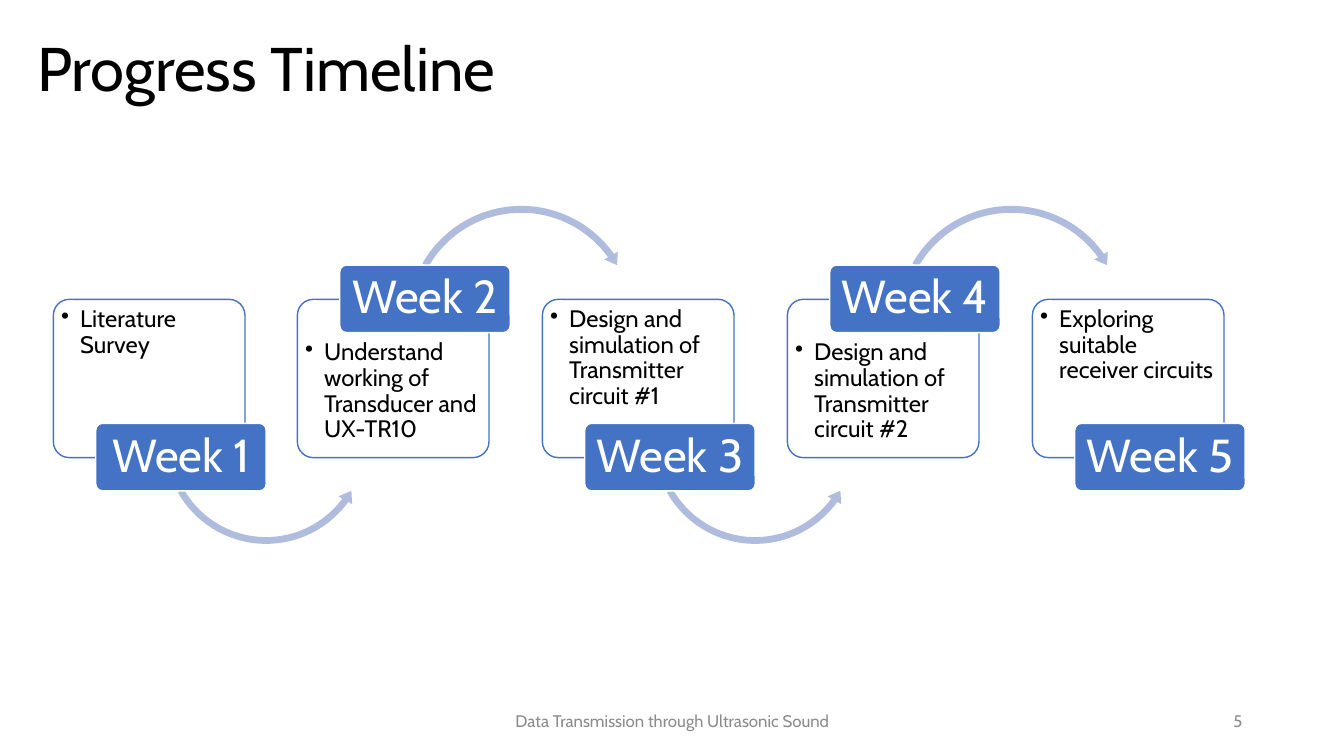
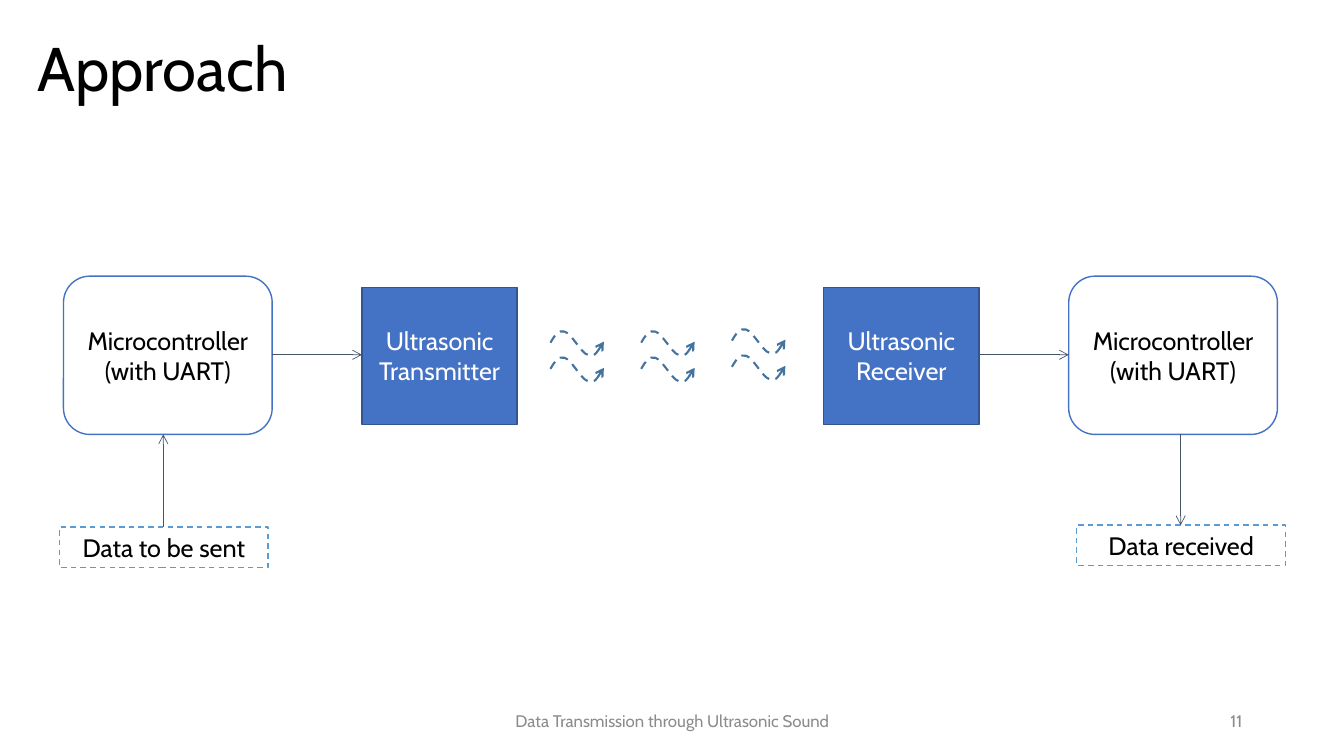
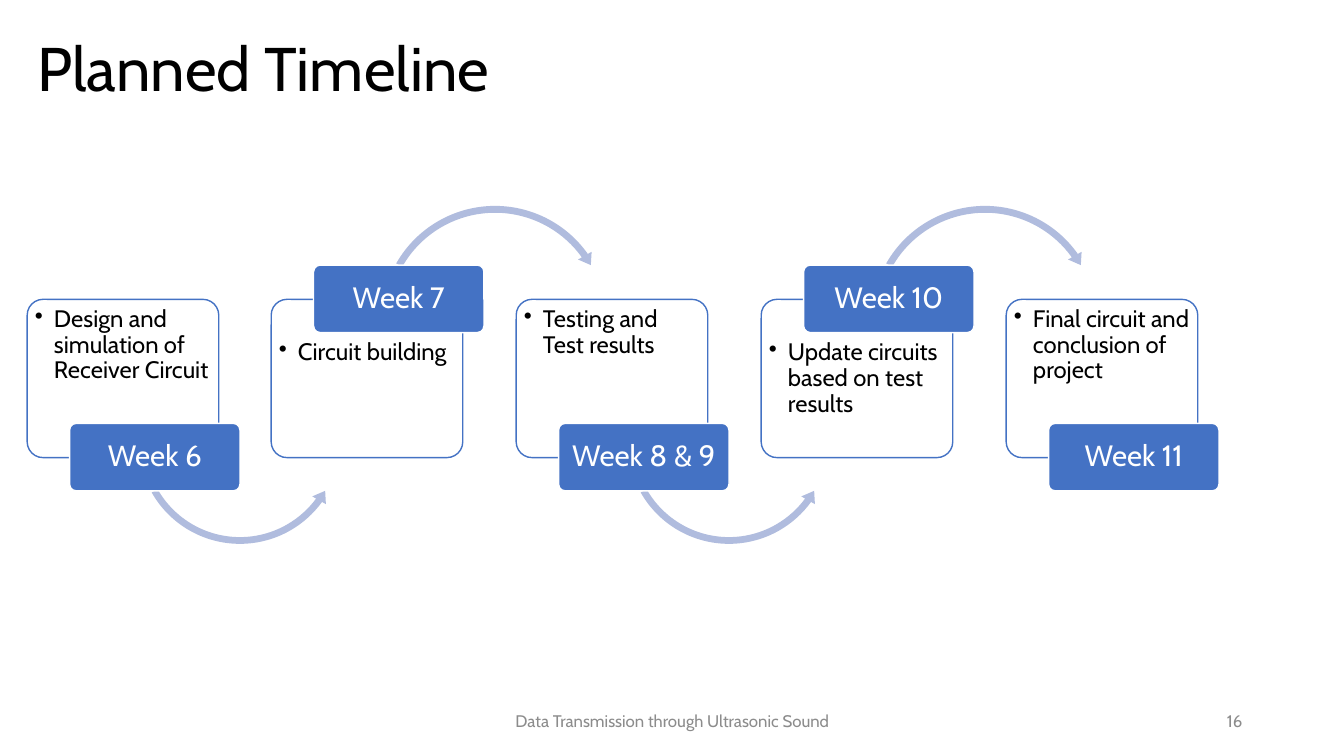
from lxml.etree import SubElement
from pptx import Presentation
from pptx.dml.color import RGBColor
from pptx.enum.dml import MSO_LINE
from pptx.enum.shapes import MSO_CONNECTOR, MSO_SHAPE
from pptx.enum.text import MSO_ANCHOR, PP_ALIGN
from pptx.oxml.ns import qn
from pptx.util import Pt

RECT, ROUND = MSO_SHAPE.RECTANGLE, MSO_SHAPE.ROUNDED_RECTANGLE
ARC_OVER, ARC_UNDER = MSO_SHAPE.CIRCULAR_ARROW, MSO_SHAPE.LEFT_CIRCULAR_ARROW
STRAIGHT = MSO_CONNECTOR.STRAIGHT
LEFT, CENTER, RIGHT = PP_ALIGN.LEFT, PP_ALIGN.CENTER, PP_ALIGN.RIGHT
TOP, MIDDLE = MSO_ANCHOR.TOP, MSO_ANCHOR.MIDDLE
DASH = MSO_LINE.DASH

EMU_PER_PX = 9144
FONT = "Cabin"
FOOTER = "Data Transmission through Ultrasonic Sound"
COLORS = {
    "white": "FFFFFF", "black": "000000", "grey": "8C8C8C", "blue": "4472C4",
    "navy": "325491", "arc": "B0BCDE", "wave": "43739E", "slate": "44546A",
    "sky": "5B9BD5",
}
ARC_OVER_ADJ = (0.029, 3.49, 194.755, 125.755, 0.033)
ARC_UNDER_ADJ = (0.032, 3.924, 21.679, 90.245, 0.037)
WAVE = [(0, 12), (4, 5), (8, -1), (14, 1), (21, 3), (31, 23), (37, 24),
        (44, 26), (48, 19), (53, 11)]


def px(*lengths):
    return [round(n * EMU_PER_PX) for n in lengths]


def rgb(name):
    return RGBColor.from_string(COLORS[name])


def set_line(sp, color, width, dash=None):
    sp.line.color.rgb = rgb(color)
    sp.line.width = Pt(width)
    if dash:
        sp.line.dash_style = dash


def add_arrowhead(sp):
    ln = sp._element.spPr.find(qn("a:ln"))
    SubElement(ln, qn("a:tailEnd"), type="arrow")


def write(sp, text, size, color="black", align=CENTER, anchor=MIDDLE,
          spacing=None, insets=(10, 5, 10, 5)):
    tf = sp.text_frame
    tf.word_wrap = True
    tf.vertical_anchor = anchor
    tf.margin_left, tf.margin_top, tf.margin_right, tf.margin_bottom = px(*insets)
    p = tf.paragraphs[0]
    p.text = text
    p.alignment = align
    if spacing:
        p.line_spacing = spacing
    for r in p.runs:
        r.font.name = FONT
        r.font.size = Pt(size)
        r.font.color.rgb = rgb(color)
    return p


def add_text(s, box, text, size, **style):
    return write(s.shapes.add_textbox(*px(*box)), text, size, **style)


def add_box(s, kind, box, fill, line=None, dash=None, adj=()):
    sp = s.shapes.add_shape(kind, *px(*box))
    sp.shadow.inherit = False
    sp.fill.solid()
    sp.fill.fore_color.rgb = rgb(fill)
    if line:
        set_line(sp, line, 1, dash)
    else:
        sp.line.fill.background()
    for i, value in enumerate(adj):
        sp.adjustments[i] = value
    return sp


def add_arrow(s, x1, y1, x2, y2):
    cn = s.shapes.add_connector(STRAIGHT, *px(x1, y1, x2, y2))
    SubElement(cn._element.spPr, qn("a:effectLst"))
    set_line(cn, "slate", 0.5)
    add_arrowhead(cn)


def add_wave(s, x, y):
    builder = s.shapes.build_freeform(*WAVE[0], scale=EMU_PER_PX)
    builder.add_line_segments(WAVE[1:], close=False)
    sp = builder.convert_to_shape(*px(x, y))
    segments = list(sp._element.iter(qn("a:lnTo")))
    path = segments[0].getparent()
    for i in range(0, len(segments), 3):
        curve = SubElement(path, qn("a:cubicBezTo"))
        for segment in segments[i:i + 3]:
            curve.append(segment[0])
            path.remove(segment)
    sp.shadow.inherit = False
    sp.fill.background()
    set_line(sp, "wave", 1.5, DASH)
    add_arrowhead(sp)


def add_slide(prs, title, number):
    s = prs.slides.add_slide(prs.slide_layouts[6])
    add_text(s, (27, 24, 1150, 94), title, 44, align=LEFT, spacing=0.9)
    add_text(s, (942, 695, 300, 40), str(number), 12, color="grey", align=RIGHT)
    add_text(s, (442, 695, 450, 40), FOOTER, 12, color="grey")
    return s


def add_card(s, x, y, task, badge_on_top):
    card = add_box(s, ROUND, (x, y, 190, 157), "white", "blue", adj=(0.1,))
    solid = card._element.spPr.find(qn("a:solidFill"))
    SubElement(solid[0], qn("a:alpha"), val="90000")
    inset_top = 36 if badge_on_top else 3
    p = write(card, task, 17, align=LEFT, anchor=TOP, spacing=0.9,
              insets=(3, inset_top, 3, 3))
    indent = px(19)[0]
    pPr = p._p.get_or_add_pPr()
    pPr.set("marL", str(indent))
    pPr.set("indent", str(-indent))
    SubElement(pPr, qn("a:buChar"), char="•")


def add_timeline(s, x, y, span, steps, badge_size):
    last = len(steps) - 1
    for i, (week, task) in enumerate(steps):
        left = x + span * i // last
        on_top = i % 2 == 1
        add_card(s, left, y, task, on_top)
        if i < last and on_top:
            add_box(s, ARC_OVER, (left + 105, y - 97, 234, 234), "arc",
                    adj=ARC_OVER_ADJ)
        elif i < last:
            add_box(s, ARC_UNDER, (left + 106, y + 37, 210, 210), "arc",
                    adj=ARC_UNDER_ADJ)
        badge_y = y - 34 if on_top else y + 123
        badge = add_box(s, ROUND, (left + 42, badge_y, 169, 67), "blue",
                        "white", adj=(0.1,))
        write(badge, week, badge_size, color="white", spacing=0.9,
              insets=(4, 3, 4, 3))


def add_approach(s, x, y):
    mid = y + 78
    for dx in (0, 997):
        sp = add_box(s, ROUND, (x + dx, y, 207, 157), "white", "blue")
        write(sp, "Microcontroller\n(with UART)", 18)
    for dx, text in ((296, "Ultrasonic Transmitter"), (754, "Ultrasonic Receiver")):
        sp = add_box(s, RECT, (x + dx, y + 11, 154, 136), "blue", "navy")
        write(sp, text, 18, color="white")
    for dx, dy, text in ((-4, 249, "Data to be sent"), (1005, 247, "Data received")):
        sp = add_box(s, RECT, (x + dx, y + dy, 207, 40), "white", "sky", DASH)
        write(sp, text, 18)
    add_arrow(s, x + 207, mid, x + 296, mid)
    add_arrow(s, x + 908, mid, x + 997, mid)
    add_arrow(s, x + 99, y + 249, x + 99, y + 157)
    add_arrow(s, x + 1108, y + 157, x + 1108, y + 247)
    for column, lift in enumerate((0, 0, 2)):
        for row in range(2):
            add_wave(s, x + 483 + 90 * column, y + 54 + 26 * row - lift)


def main():
    prs = Presentation()
    prs.slide_width, prs.slide_height = px(1333, 750)

    s = add_slide(prs, "Progress Timeline", 5)
    add_timeline(s, 53, 297, 971, [
        ("Week 1", "Literature Survey"),
        ("Week 2", "Understand working of Transducer and UX-TR10"),
        ("Week 3", "Design and simulation of Transmitter circuit #1"),
        ("Week 4", "Design and simulation of Transmitter circuit #2"),
        ("Week 5", "Exploring suitable receiver circuits"),
    ], 33)

    s = add_slide(prs, "Approach", 11)
    add_approach(s, 63, 274)

    s = add_slide(prs, "Planned Timeline", 16)
    add_timeline(s, 27, 297, 971, [
        ("Week 6", "Design and simulation of Receiver Circuit"),
        ("Week 7", "Circuit building"),
        ("Week 8 & 9", "Testing and Test results"),
        ("Week 10", "Update circuits based on test results"),
        ("Week 11", "Final circuit and conclusion of project"),
    ], 21)

    prs.save("out.pptx")


if __name__ == "__main__":
    main()
